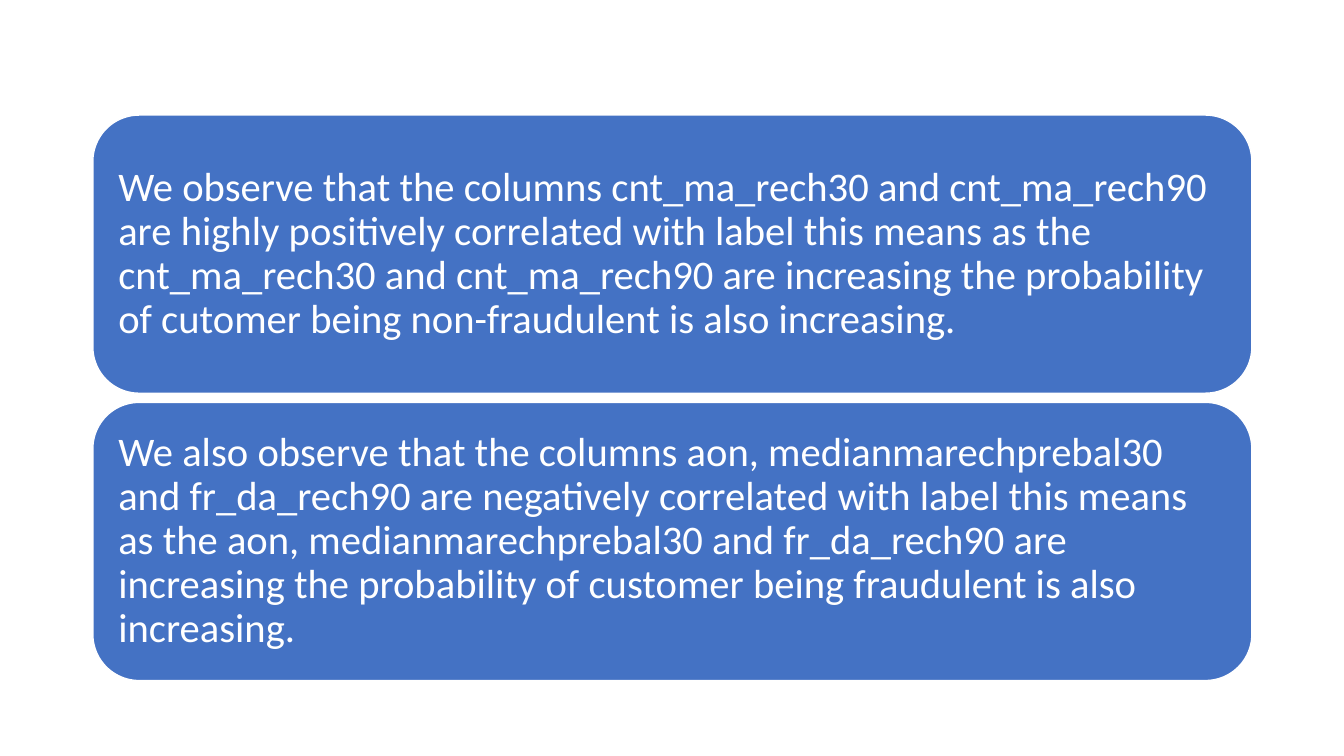
"""Build a slide with two stacked cards of correlation findings."""
import pptx
import pptx.dml.color
import pptx.enum.shapes
import pptx.enum.text
import pptx.util

Cm = pptx.util.Cm
Pt = pptx.util.Pt
COLORS = {"card": "4472C4", "white": "FFFFFF"}
FINDINGS = [
    "We observe that the columns cnt_ma_rech30 and cnt_ma_rech90 are highly "
    "positively correlated with label this means as the cnt_ma_rech30 and "
    "cnt_ma_rech90 are increasing the probability of\u00a0cutomer\u00a0being "
    "non-fraudulent is also increasing.",
    "We also observe that the columns\u00a0aon, medianmarechprebal30 and "
    "fr_da_rech90 are negatively correlated with label this means as "
    "the\u00a0aon, medianmarechprebal30 and fr_da_rech90 are increasing the "
    "probability of customer being fraudulent is also increasing.",
]
LEFT, TOP, WIDTH, HEIGHT, GAP = 2.34, 2.9, 29.21, 7.01, 0.23
INSET = 0.3


def rgb(name):
    return pptx.dml.color.RGBColor.from_string(COLORS[name])


def add_text(sp, text, size=29, font="Calibri", color="white", spacing=0.9):
    tf = sp.text_frame
    tf.word_wrap = True
    tf.vertical_anchor = pptx.enum.text.MSO_ANCHOR.MIDDLE
    tf.margin_left = tf.margin_right = Cm(INSET)
    tf.margin_top = tf.margin_bottom = Cm(INSET)
    p = tf.paragraphs[0]
    p.alignment = pptx.enum.text.PP_ALIGN.LEFT
    p.line_spacing = spacing
    r = p.add_run()
    r.text = text
    r.font.size = Pt(size)
    r.font.name = font
    r.font.color.rgb = rgb(color)


prs = pptx.Presentation()
prs.slide_width = Cm(33.87)
prs.slide_height = Cm(19.05)
s = prs.slides.add_slide(prs.slide_layouts[6])

for i, finding in enumerate(FINDINGS):
    sp = s.shapes.add_shape(
        pptx.enum.shapes.MSO_SHAPE.ROUNDED_RECTANGLE,
        Cm(LEFT), Cm(TOP + i * (HEIGHT + GAP)), Cm(WIDTH), Cm(HEIGHT))
    sp.name = f"Finding {i + 1}"
    sp.shadow.inherit = False
    sp.fill.solid()
    sp.fill.fore_color.rgb = rgb("card")
    sp.line.color.rgb = rgb("white")
    sp.line.width = Pt(1)
    add_text(sp, finding)

prs.save("out.pptx")
